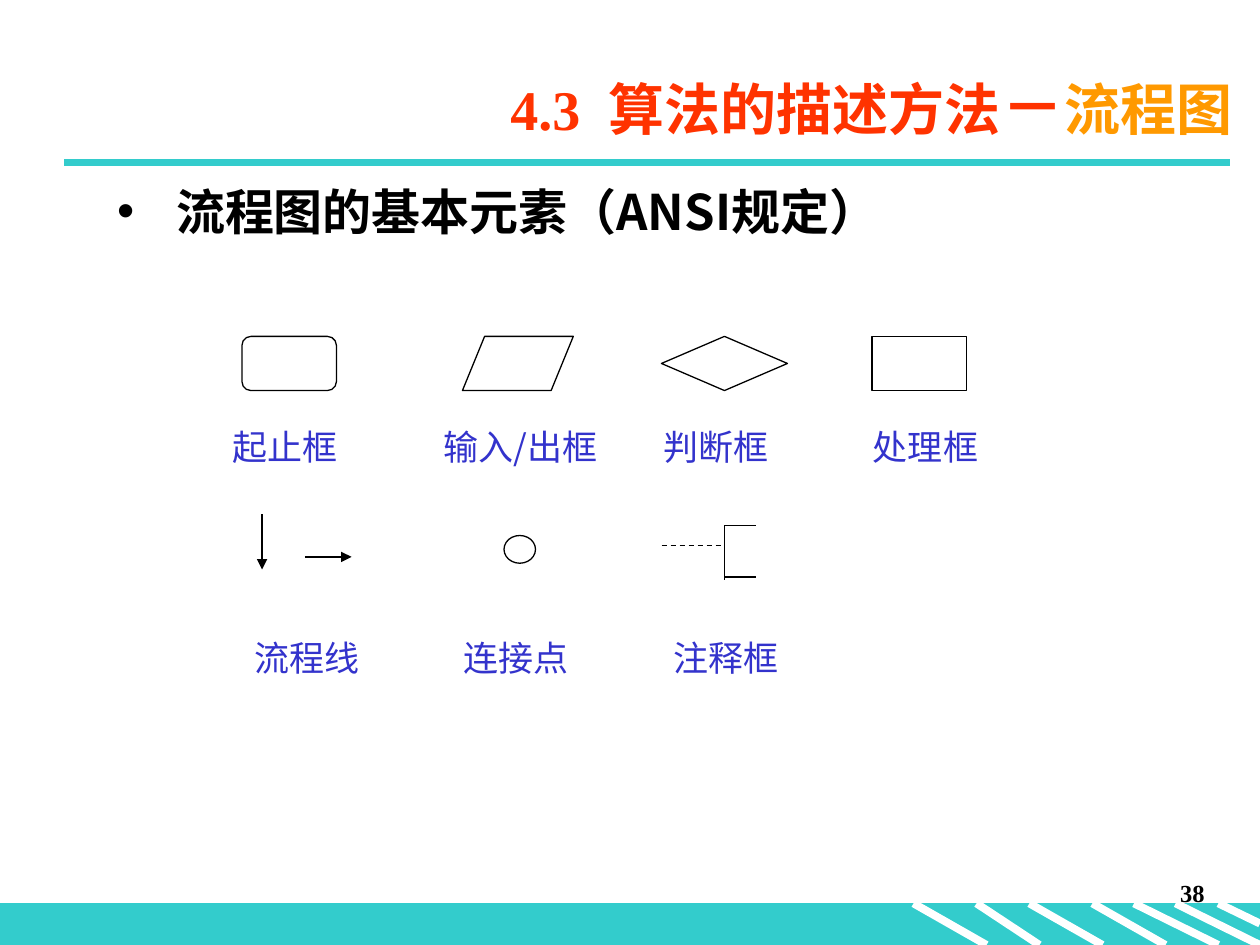
from pptx import Presentation
from pptx.dml.color import RGBColor
from pptx.enum.dml import MSO_LINE
from pptx.enum.shapes import MSO_CONNECTOR, MSO_SHAPE
from pptx.enum.text import MSO_ANCHOR, MSO_AUTO_SIZE, PP_ALIGN
from pptx.oxml.ns import qn
from pptx.util import Inches, Pt
from lxml import etree

STRAIGHT = MSO_CONNECTOR.STRAIGHT
DASH = MSO_LINE.DASH
LEFT, RIGHT = PP_ALIGN.LEFT, PP_ALIGN.RIGHT
TOP, MIDDLE = MSO_ANCHOR.TOP, MSO_ANCHOR.MIDDLE
FIXED, GROW = MSO_AUTO_SIZE.NONE, MSO_AUTO_SIZE.SHAPE_TO_FIT_TEXT
RECT, OVAL = MSO_SHAPE.RECTANGLE, MSO_SHAPE.OVAL
SANS, SERIF = "Noto Sans CJK SC", "Times New Roman"
TEAL, WHITE, BLACK = "33CCCC", "FFFFFF", "000000"
RED, GOLD, BLUE = "FF3300", "FF9900", "3333CC"

# Top row: preset, left, width, label, label left, label width
BOXES = [
    (MSO_SHAPE.FLOWCHART_ALTERNATE_PROCESS, 1.92, 0.75, "起止框", 1.75, 1.25),
    (MSO_SHAPE.FLOWCHART_DATA, 3.67, 0.88, "输入/出框", 3.42, 1.67),
    (MSO_SHAPE.FLOWCHART_DECISION, 5.25, 1, "判断框", 5.17, 1.17),
    (MSO_SHAPE.FLOWCHART_PROCESS, 6.92, 0.75, "处理框", 6.83, 1.08),
]
LOWER = [("流程线", 1.92), ("连接点", 3.58), ("注释框", 5.25)]
# Stripes on the bottom band: start x, end x, end y
STRIPES = [
    (7.25, 7.83, 7.5), (7.75, 8.25, 7.5), (8.17, 8.75, 7.5), (8.67, 9.25, 7.5),
    (9, 9.67, 7.5), (9.33, 10, 7.5), (9.67, 10, 7.33),
]


def rgb(code):
    return RGBColor.from_string(code)


def place(shape, x, y, w, h):
    shape.left, shape.top = Inches(x), Inches(y)
    shape.width, shape.height = Inches(w), Inches(h)


def write(shape, text, size=20, font=SANS, color=BLACK, bold=False,
          align=LEFT, anchor=TOP, before=0, fit=FIXED):
    """Fill a shape; text is a string or a list of (string, size, colour, font)."""
    frame = shape.text_frame
    frame.word_wrap = True
    frame.auto_size = fit
    frame.vertical_anchor = anchor
    para = frame.paragraphs[0]
    para.alignment = align
    para.space_before = Pt(before)
    parts = [(text, size, color, font)] if isinstance(text, str) else text
    for words, pts, code, face in parts:
        run = para.add_run()
        run.text = words
        run.font.size, run.font.bold = Pt(pts), bold
        run.font.name = face
        run.font.color.rgb = rgb(code)
        east = etree.SubElement(run.font._element, qn("a:ea"))
        east.set("typeface", SANS)
    return para


def add_text(slide, text, x, y, w, h, **form):
    box = slide.shapes.add_textbox(Inches(x), Inches(y), Inches(w), Inches(h))
    write(box, text, **form)


def add_box(slide, kind, x, y, w, h, fill=WHITE, edge=BLACK):
    box = slide.shapes.add_shape(kind, Inches(x), Inches(y), Inches(w), Inches(h))
    box.shadow.inherit = False
    box.fill.solid()
    box.fill.fore_color.rgb = rgb(fill)
    box.line.color.rgb = rgb(edge)
    box.line.width = Pt(0.75)


def add_line(slide, x1, y1, x2, y2, color=BLACK, width=0.75, dash=None, arrow=False):
    line = slide.shapes.add_connector(
        STRAIGHT, Inches(x1), Inches(y1), Inches(x2), Inches(y2))
    line.line.color.rgb = rgb(color)
    line.line.width = Pt(width)
    if dash:
        line.line.dash_style = dash
    props = line._element.spPr
    if arrow:
        etree.SubElement(props.find(qn("a:ln")), qn("a:tailEnd")).set("type", "triangle")
    etree.SubElement(props, qn("a:effectLst"))


def add_frame(slide):
    add_box(slide, RECT, 0, 7.17, 10, 0.33, fill=TEAL, edge=TEAL)
    for x1, x2, y2 in STRIPES:
        add_line(slide, x1, 7.17, x2, y2, color=WHITE, width=4.5)
    add_line(slide, 0.51, 1.29, 9.76, 1.29, color=TEAL, width=4.5)
    add_text(slide, "38", 7.58, 6.92, 2.08, 0.5, size=14, font=SERIF,
             bold=True, align=RIGHT, before=8.8)


def add_heads(slide):
    title, body = slide.shapes.title, slide.placeholders[1]
    place(title, 1.38, 0.44, 8.5, 0.79)
    write(title, [("4.3  算法的描述方法", 32, RED, SERIF), ("－", 36, RED, SANS),
                  ("流程图", 32, GOLD, SERIF)],
          bold=True, align=RIGHT, anchor=MIDDLE)
    place(body, 0.83, 1.39, 8.5, 5.04)
    para = write(body, " 流程图的基本元素（ANSI规定）", size=28, bold=True, before=7)
    props = para._p.get_or_add_pPr()
    props.set("marL", str(Inches(0.38)))
    props.set("indent", str(Inches(-0.38)))


def add_label(slide, text, x, y, w=1.25):
    add_text(slide, text, x, y, w, 0.44, color=BLUE, before=12.5, fit=GROW)


def add_symbols(slide):
    for kind, x, w, name, left, wide in BOXES:
        add_box(slide, kind, x, 2.67, w, 0.43)
        add_label(slide, name, left, 3.33, wide)
    add_line(slide, 2.08, 4.08, 2.08, 4.52, arrow=True)
    add_line(slide, 2.42, 4.42, 2.79, 4.42, arrow=True)
    add_box(slide, OVAL, 4, 4.25, 0.25, 0.22)
    add_line(slide, 5.75, 4.17, 5.75, 4.6)
    for y in (4.17, 4.58):
        add_line(slide, 5.75, y, 6, y)
    add_line(slide, 5.25, 4.33, 5.75, 4.33, dash=DASH)
    for name, x in LOWER:
        add_label(slide, name, x, 5)


def main():
    deck = Presentation()
    deck.slide_width, deck.slide_height = Inches(10), Inches(7.5)
    slide = deck.slides.add_slide(deck.slide_layouts[1])
    add_frame(slide)
    add_heads(slide)
    add_symbols(slide)
    deck.save("out.pptx")


if __name__ == "__main__":
    main()
